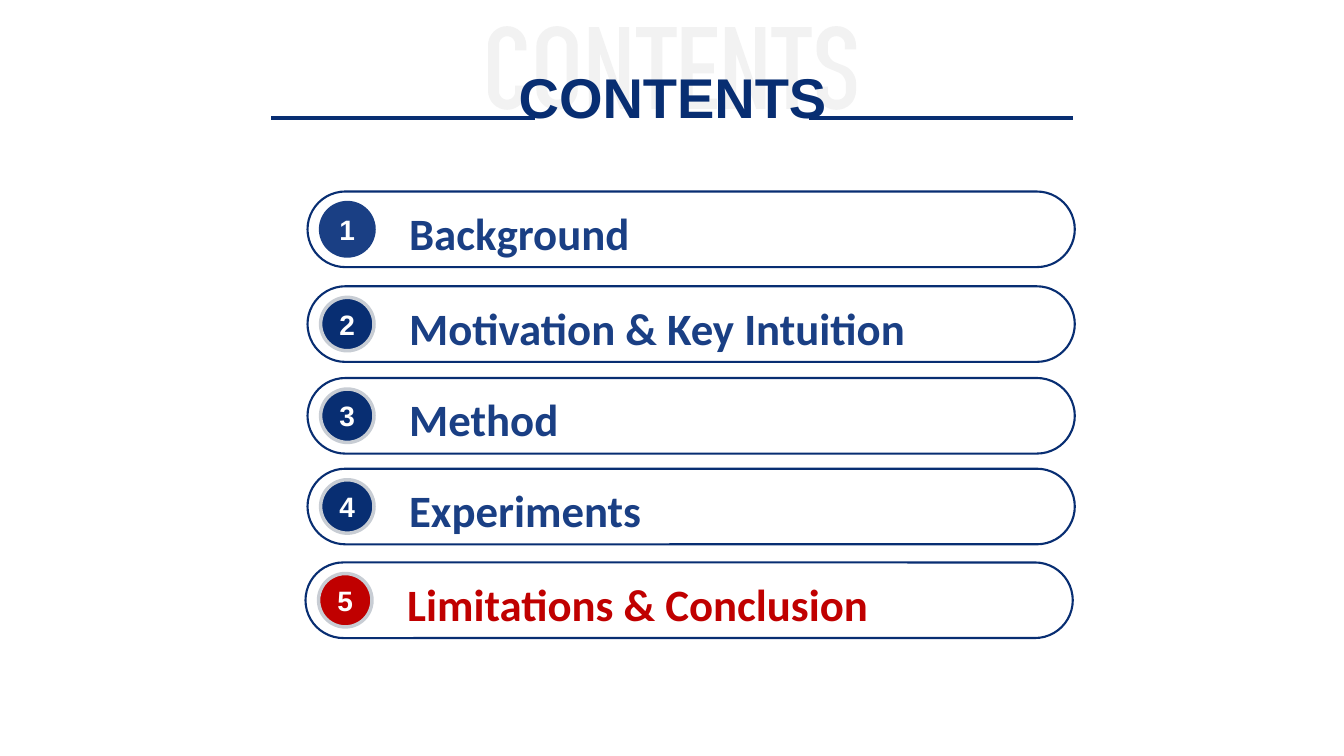
from dataclasses import dataclass

import pptx
import pptx.dml.color
import pptx.enum.shapes
import pptx.enum.text
import pptx.oxml
import pptx.util
from pptx.util import Inches


@dataclass(frozen=True)
class Theme:
    navy: str = "082E72"
    blue: str = "1A3F84"
    red: str = "C00000"
    ring: str = "C8CDD4"
    ghost: str = "F2F2F2"
    white: str = "FFFFFF"
    title_font: str = "Arial"
    item_font: str = "Calibri"
    title_size: int = 40
    number_size: int = 20
    item_size: int = 32


THEME = Theme()

GLYPHS = {
    "C": [[(0.38, 0.24), (0.38, 0, 0.19), (0, 0, 0.19), (0, 0.83, 0.19),
           (0.38, 0.83, 0.19), (0.38, 0.59), (0.27, 0.59), (0.27, 0.73, 0.08),
           (0.11, 0.73, 0.08), (0.11, 0.1, 0.08), (0.27, 0.1, 0.08), (0.27, 0.24)]],
    "O": [[(0, 0, 0.2), (0.41, 0, 0.2), (0.41, 0.83, 0.2), (0, 0.83, 0.2)],
          [(0.11, 0.1, 0.09), (0.11, 0.73, 0.09), (0.3, 0.73, 0.09), (0.3, 0.1, 0.09)]],
    "N": [[(0, 0.01), (0.1, 0.01), (0.3, 0.59), (0.3, 0.01), (0.4, 0.01),
           (0.4, 0.82), (0.31, 0.82), (0.11, 0.27), (0.11, 0.82), (0, 0.82)]],
    "T": [[(0, 0.01), (0.4, 0.01), (0.4, 0.11), (0.26, 0.11), (0.26, 0.82),
           (0.15, 0.82), (0.15, 0.11), (0, 0.11)]],
    "E": [[(0, 0.01), (0.35, 0.01), (0.35, 0.11), (0.11, 0.11), (0.11, 0.37),
           (0.32, 0.37), (0.32, 0.47), (0.11, 0.47), (0.11, 0.72), (0.35, 0.72),
           (0.35, 0.82), (0, 0.82)]],
    "S": [[(0.39, 0.23), (0.39, 0, 0.19), (0, 0, 0.19), (0, 0.37, 0.12),
           (0.29, 0.49, 0.08), (0.29, 0.73, 0.08), (0.11, 0.73, 0.08), (0.11, 0.6),
           (0, 0.6), (0, 0.83, 0.19), (0.39, 0.83, 0.19), (0.39, 0.44, 0.12),
           (0.11, 0.33, 0.08), (0.11, 0.1, 0.08), (0.28, 0.1, 0.08), (0.28, 0.23)]],
}
GHOST_TOP = 0.26
GHOST_LEFTS = (4.84, 5.32, 5.84, 6.31, 6.76, 7.19, 7.65, 8.1)

ITEMS = (
    ("Background", 3.05, 1.9, THEME.blue, THEME.blue, THEME.blue),
    ("Motivation & Key Intuition", 3.05, 2.84, THEME.blue, THEME.navy, THEME.ring),
    ("Method", 3.05, 3.75, THEME.blue, THEME.navy, THEME.ring),
    ("Experiments", 3.05, 4.65, THEME.blue, THEME.navy, THEME.ring),
    ("Limitations & Conclusion", 3.03, 5.58, THEME.red, THEME.red, THEME.ring),
)


def rgb(color):
    return pptx.dml.color.RGBColor.from_string(color)


def toward(a, b, distance):
    length = ((b[0] - a[0]) ** 2 + (b[1] - a[1]) ** 2) ** 0.5
    return [a[i] + (b[i] - a[i]) * distance / length for i in (0, 1)]


def round_corners(corners, steps=8):
    points = []
    for i, corner in enumerate(corners):
        if len(corner) == 2:
            points.append(corner)
            continue
        radius = corner[2]
        before, after = corners[i - 1], corners[(i + 1) % len(corners)]
        a, d = toward(corner, before, radius), toward(corner, after, radius)
        b, c = (toward(corner, q, radius * 0.45) for q in (before, after))
        for step in range(steps + 1):
            t = step / steps
            u = 1 - t
            points.append([u**3 * a[k] + 3 * u * u * t * b[k]
                           + 3 * u * t * t * c[k] + t**3 * d[k] for k in (0, 1)])
    return points


def add_ghost_word(s, word):
    contours = [
        [(Inches(left + x), Inches(GHOST_TOP + y)) for x, y in round_corners(corners)]
        for letter, left in zip(word, GHOST_LEFTS)
        for corners in GLYPHS[letter]
    ]
    builder = s.shapes.build_freeform(*contours[0][0])
    for i, points in enumerate(contours):
        if i:
            builder.move_to(*points[0])
        builder.add_line_segments(points[1:], close=True)
    sp = builder.convert_to_shape()
    sp.shadow.inherit = False
    sp.fill.solid()
    sp.fill.fore_color.rgb = rgb(THEME.ghost)
    sp.line.fill.background()


def add_run(tf, text, font, size, color, align=None):
    p = tf.paragraphs[0]
    p.alignment = align
    r = p.add_run()
    r.text = text
    r.font.name = font
    r.font.size = pptx.util.Pt(size)
    r.font.bold = True
    r.font.color.rgb = rgb(color)


def add_text(s, box, text, font, size, color, wrap=True, align=None):
    tf = s.shapes.add_textbox(*map(Inches, box)).text_frame
    tf.word_wrap = wrap
    tf.auto_size = pptx.enum.text.MSO_AUTO_SIZE.SHAPE_TO_FIT_TEXT
    add_run(tf, text, font, size, color, align)


def add_rule(s, left, width, y):
    line = s.shapes.add_connector(
        pptx.enum.shapes.MSO_CONNECTOR.STRAIGHT,
        Inches(left), Inches(y), Inches(left + width), Inches(y))
    line.line.color.rgb = rgb(THEME.navy)
    line.line.width = pptx.util.Pt(3)
    line._element.spPr.append(pptx.oxml.parse_xml(
        '<a:effectLst xmlns:a="http://schemas.openxmlformats.org/drawingml/2006/main"/>'))


def add_outlined(s, kind, box, fill, line, weight):
    sp = s.shapes.add_shape(kind, *map(Inches, box))
    sp.shadow.inherit = False
    sp.fill.solid()
    sp.fill.fore_color.rgb = rgb(fill)
    sp.line.color.rgb = rgb(line)
    sp.line.width = pptx.util.Pt(weight)
    return sp


def add_item(s, number, text, left, top, color, badge_fill, badge_ring):
    shapes = pptx.enum.shapes.MSO_SHAPE
    bar = add_outlined(s, shapes.ROUNDED_RECTANGLE, (left, top, 7.61, 0.75),
                       THEME.white, THEME.navy, 1.5)
    bar.adjustments[0] = 0.5
    badge = add_outlined(s, shapes.OVAL, (left + 0.13, top + 0.11, 0.53, 0.53),
                         badge_fill, badge_ring, 2.5)
    tf = badge.text_frame
    tf.margin_left = tf.margin_right = tf.margin_top = tf.margin_bottom = 0
    tf.vertical_anchor = pptx.enum.text.MSO_ANCHOR.MIDDLE
    add_run(tf, str(number), THEME.title_font, THEME.number_size, THEME.white,
            pptx.enum.text.PP_ALIGN.CENTER)
    add_text(s, (left + 0.91, top + 0.09, 5.8, 0.64), text,
             THEME.item_font, THEME.item_size, color)


def main():
    prs = pptx.Presentation()
    prs.slide_width, prs.slide_height = Inches(13.33), Inches(7.5)
    s = prs.slides.add_slide(prs.slide_layouts[6])
    add_ghost_word(s, "CONTENTS")
    add_text(s, (5.04, 0.57, 3.26, 0.77), "CONTENTS", THEME.title_font,
             THEME.title_size, THEME.navy, wrap=False,
             align=pptx.enum.text.PP_ALIGN.CENTER)
    for left in (2.69, 8.02):
        add_rule(s, left, 2.62, 1.17)
    for number, item in enumerate(ITEMS, 1):
        add_item(s, number, *item)
    prs.save("out.pptx")


if __name__ == "__main__":
    main()
